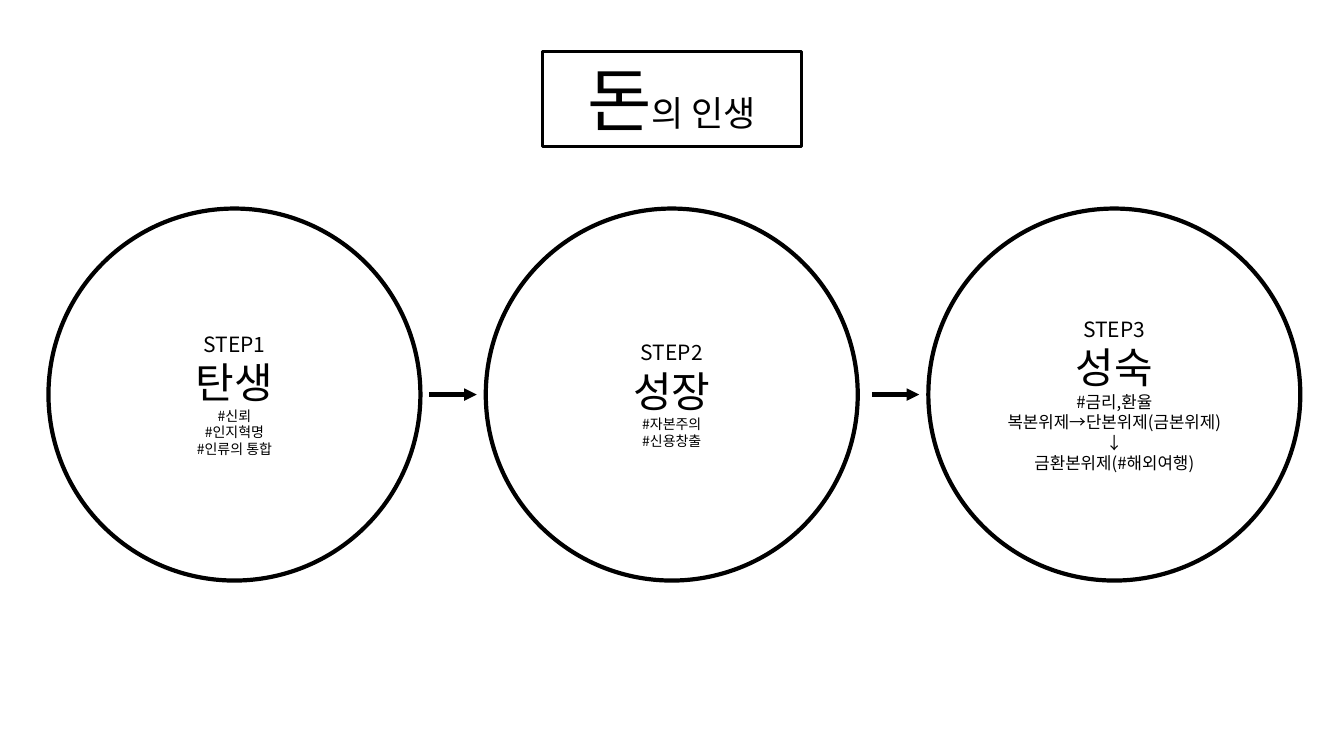
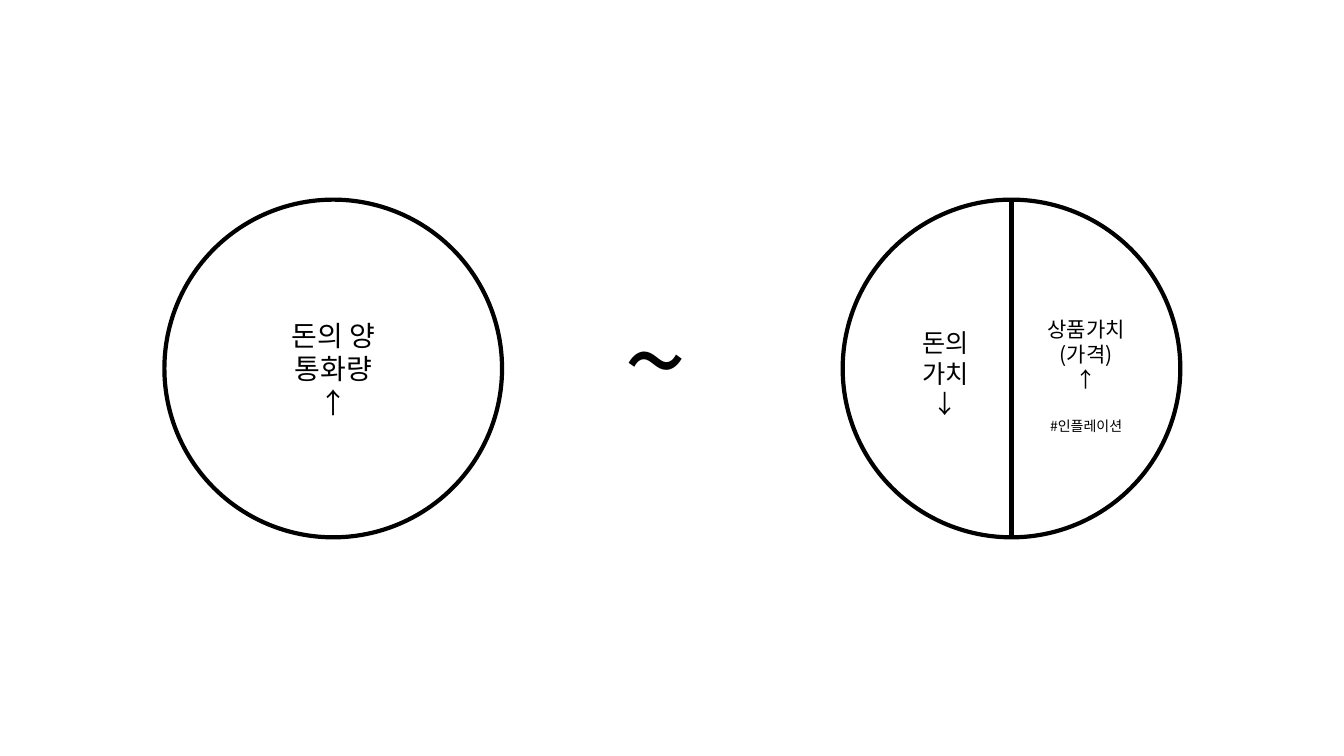
import pptx
import pptx.dml.color
import pptx.enum.shapes
import pptx.enum.text
import pptx.oxml
import pptx.oxml.ns
import pptx.util

Pt = pptx.util.Pt
SHAPE = pptx.enum.shapes.MSO_SHAPE
ALIGN = pptx.enum.text.PP_ALIGN
ANCHOR = pptx.enum.text.MSO_ANCHOR
FIT = pptx.enum.text.MSO_AUTO_SIZE.SHAPE_TO_FIT_TEXT


class Theme:
    ink = pptx.dml.color.RGBColor(0, 0, 0)
    paper = pptx.dml.color.RGBColor(255, 255, 255)
    font = "Noto Sans CJK KR"
    line, title_line = 3, 2.25
    title, title_rest = 50, 25
    step, stage, tag, note = 15, 30, 10, 12
    amount, value, price, tilde = 20, 18, 15, 80


# A paragraph is a list of (text, size) runs.
TITLE = [[("돈", Theme.title), ("의 인생", Theme.title_rest)]]
# Left edge, stage name, size of the details, details
STAGES = [
    (34.6, "탄생", Theme.tag, ["#신뢰", "#인지혁명", "#인류의 통합"]),
    (347, "성장", Theme.tag, ["#자본주의", "#신용창출"]),
    (663.1, "성숙", Theme.note,
     ["#금리,환율", "복본위제→단본위제(금본위제)", "↓", "금환본위제(#해외여행)"]),
]
AMOUNT = ["돈의 양", "통화량", "↑"]
VALUE = ["돈의 가치", "↓"]
PRICE = ["상품가치", "(가격)", "↑"]
INFLATION = "#인플레이션"

STAGE_TOP, STAGE_SIZE = 149, 265.7
ARROW_LENGTH, ARROW_GAP = 33.9, 6.5
MONEY_TOP, MONEY_SIZE = 142.6, 241.2
AMOUNT_LEFT, VALUE_LEFT = 117.4, 601.9


def lines(texts, size):
    return [[(text, size)] for text in texts]


def write(frame, paragraphs, align=ALIGN.CENTER, anchor=ANCHOR.MIDDLE):
    frame.word_wrap = True
    frame.vertical_anchor = anchor
    for index, runs in enumerate(paragraphs):
        paragraph = frame.paragraphs[0] if index == 0 else frame.add_paragraph()
        paragraph.alignment = align
        for text, size in runs:
            run = paragraph.add_run()
            run.text = text
            run.font.size = Pt(size)
            run.font.name = Theme.font
            run.font.color.rgb = Theme.ink
            east_asian = pptx.oxml.parse_xml(
                f'<a:ea {pptx.oxml.ns.nsdecls("a")} typeface="{Theme.font}"/>')
            run.font._element.find(pptx.oxml.ns.qn("a:latin")).addnext(east_asian)


def add_outline(shapes, kind, box, width=Theme.line):
    outline = shapes.add_shape(kind, *map(Pt, box))
    outline.shadow.inherit = False
    outline.fill.background()
    outline.line.color.rgb = Theme.ink
    outline.line.width = Pt(width)
    return outline


def add_circle(shapes, left, top, size):
    return add_outline(shapes, SHAPE.OVAL, (left, top, size, size))


def add_text(shapes, box, paragraphs, **layout):
    label = shapes.add_textbox(*map(Pt, box))
    write(label.text_frame, paragraphs, **layout)
    return label.text_frame


def add_line(shapes, start, end, arrow=False):
    line = shapes.add_connector(
        pptx.enum.shapes.MSO_CONNECTOR.STRAIGHT, *map(Pt, start + end))
    line.line.color.rgb = Theme.ink
    line.line.width = Pt(Theme.line)
    namespace = pptx.oxml.ns.nsdecls("a")
    if arrow:
        line.line._get_or_add_ln().append(
            pptx.oxml.parse_xml(f'<a:tailEnd {namespace} type="triangle"/>'))
    line._element.spPr.append(pptx.oxml.parse_xml(f"<a:effectLst {namespace}/>"))


def add_slide(deck):
    slide = deck.slides.add_slide(deck.slide_layouts[6])
    slide.background.fill.solid()
    slide.background.fill.fore_color.rgb = Theme.paper
    return slide.shapes


def build_life_of_money(shapes):
    middle = STAGE_TOP + STAGE_SIZE / 2
    for number, (left, name, size, details) in enumerate(STAGES, 1):
        circle = add_circle(shapes, left, STAGE_TOP, STAGE_SIZE)
        heading = [[(f"STEP{number}", Theme.step)], [(name, Theme.stage)]]
        write(circle.text_frame, heading + lines(details, size))
        if number > 1:
            tip = left - ARROW_GAP
            add_line(shapes, (tip - ARROW_LENGTH, middle), (tip, middle), arrow=True)
    title = add_outline(shapes, SHAPE.RECTANGLE, (387.4, 36.7, 185, 67.7),
                        Theme.title_line)
    write(title.text_frame, TITLE, anchor=ANCHOR.TOP)
    title.text_frame.auto_size = FIT


def build_amount_and_value(shapes):
    amount = add_circle(shapes, AMOUNT_LEFT, MONEY_TOP, MONEY_SIZE)
    write(amount.text_frame, lines(AMOUNT, Theme.amount))
    tilde = add_text(shapes, (439.2, 203.8, 96.5, 104.4), [[("~", Theme.tilde)]],
                     align=ALIGN.LEFT, anchor=ANCHOR.TOP)
    tilde.auto_size = FIT

    halves = shapes.add_group_shape().shapes
    add_circle(halves, VALUE_LEFT, MONEY_TOP, MONEY_SIZE)
    center = VALUE_LEFT + MONEY_SIZE / 2
    add_line(halves, (center, MONEY_TOP), (center, MONEY_TOP + MONEY_SIZE))
    add_text(halves, (637.9, 216.7, 74.9, 99.4), lines(VALUE, Theme.value))
    price = add_text(halves, (725.8, 218.2, 100, 99.4),
                     lines(PRICE, Theme.price) + [[(INFLATION, Theme.tag)]])
    price.paragraphs[-1].space_before = Pt(18)


def main():
    deck = pptx.Presentation()
    deck.slide_width, deck.slide_height = Pt(960), Pt(540)
    for build in (build_life_of_money, build_amount_and_value):
        build(add_slide(deck))
    deck.save("out.pptx")


if __name__ == "__main__":
    main()
